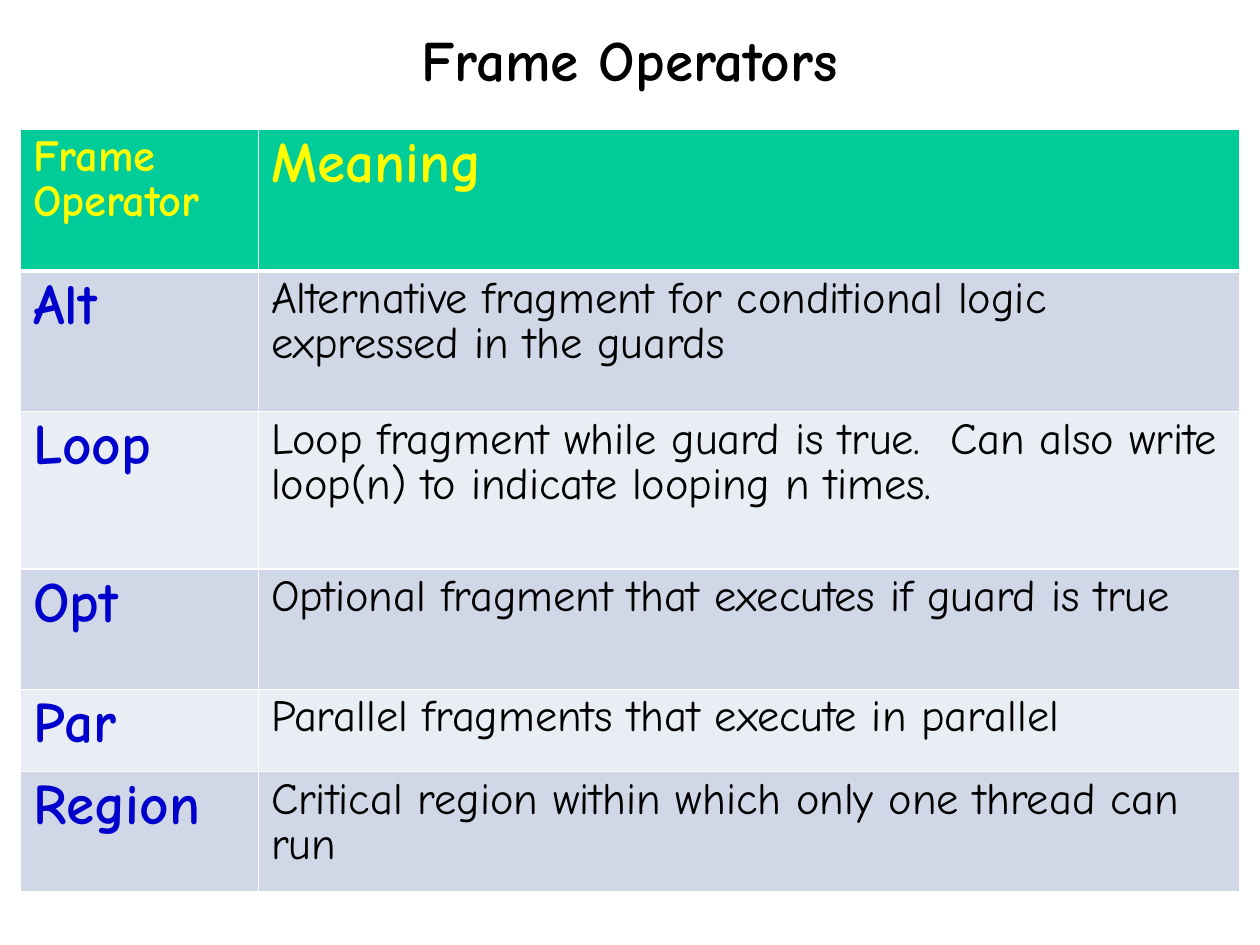
from dataclasses import dataclass

from lxml import etree
from pptx import Presentation
from pptx.dml.color import RGBColor
from pptx.enum.text import MSO_ANCHOR, PP_ALIGN
from pptx.oxml.ns import qn
from pptx.util import Cm, Inches, Pt

MIDDLE, TOP = MSO_ANCHOR.MIDDLE, MSO_ANCHOR.TOP
CENTER, LEFT = PP_ALIGN.CENTER, PP_ALIGN.LEFT
BLANK_LAYOUT = 6


@dataclass(frozen=True)
class Theme:
    font: str = "Comic Neue"
    large: int = 36
    small: int = 28
    ink: str = "000000"
    heading: str = "FFFF00"
    operator: str = "0000CC"
    header_fill: str = "00CC99"
    bands: tuple = ("D0D8E8", "E9EDF4")
    rule: str = "FFFFFF"
    thin: int = 1
    thick: int = 3
    line_spacing: float = 0.88
    space_after: float = 13.8
    inset_x: float = 0.11
    inset_y: float = 0.06


THEME = Theme()
WIDTH, HEIGHT = Cm(28), Cm(21)
TITLE_BOX = (0.81, 0.39, 9.4, 0.32)
TABLE_BOX = (0.18, 1.13, 10.67, 6.67)
COLUMN_WEIGHTS = (2.08, 8.58)
ROW_WEIGHTS = (1.24, 1.23, 1.38, 1.05, 0.72, 1.05)
HEADINGS = ("Frame Operator", "Meaning")
OPERATORS = (
    ("Alt", "Alternative fragment for conditional logic expressed in the guards"),
    ("Loop", "Loop fragment while guard is true.  Can also write loop(n) to indicate looping n times."),
    ("Opt", "Optional fragment that executes if guard is true"),
    ("Par", "Parallel fragments that execute in parallel"),
    ("Region", "Critical region within which only one thread can run"),
)


def write(frame, text, size, color, bold=True, align=LEFT, space_after=0):
    frame.word_wrap = True
    paragraph = frame.paragraphs[0]
    paragraph.alignment = align
    paragraph.line_spacing = THEME.line_spacing
    paragraph.space_after = Pt(space_after)
    run = paragraph.add_run()
    run.text = text
    run.font.name = THEME.font
    run.font.size = Pt(size)
    run.font.bold = bold
    run.font.color.rgb = RGBColor.from_string(color)


def set_insets(holder):
    holder.margin_left = holder.margin_right = Inches(THEME.inset_x)
    holder.margin_top = holder.margin_bottom = Inches(THEME.inset_y)


def set_borders(cell, top, bottom):
    properties = cell._tc.get_or_add_tcPr()
    sides = (("L", THEME.thin), ("R", THEME.thin), ("T", top), ("B", bottom))
    for position, (side, weight) in enumerate(sides):
        border = etree.Element(qn(f"a:ln{side}"), w=str(Pt(weight)))
        fill = etree.SubElement(border, qn("a:solidFill"))
        etree.SubElement(fill, qn("a:srgbClr"), val=THEME.rule)
        properties.insert(position, border)


def fill_cell(cell, row, text, size, color, bold=True):
    set_insets(cell)
    cell.vertical_anchor = TOP
    cell.fill.solid()
    fill = THEME.bands[(row - 1) % 2] if row else THEME.header_fill
    cell.fill.fore_color.rgb = RGBColor.from_string(fill)
    set_borders(
        cell,
        top=THEME.thick if row == 1 else THEME.thin,
        bottom=THEME.thick if row == 0 else THEME.thin,
    )
    write(cell.text_frame, text, size, color, bold, space_after=THEME.space_after)


def share_out(tracks, weights, total):
    for track, weight in zip(tracks, weights):
        yield track, Inches(total * weight / sum(weights))


def add_title(slide, box, text):
    frame = slide.shapes.add_textbox(*map(Inches, box)).text_frame
    set_insets(frame)
    frame.vertical_anchor = MIDDLE
    write(frame, text, THEME.large, THEME.ink, align=CENTER)


def add_operator_table(slide, box):
    table = slide.shapes.add_table(
        len(ROW_WEIGHTS), len(COLUMN_WEIGHTS), *map(Inches, box)
    ).table
    for column, width in share_out(table.columns, COLUMN_WEIGHTS, box[2]):
        column.width = width
    for row, height in share_out(table.rows, ROW_WEIGHTS, box[3]):
        row.height = height
    for column, size in enumerate((THEME.small, THEME.large)):
        fill_cell(table.cell(0, column), 0, HEADINGS[column], size, THEME.heading)
    for row, (operator, meaning) in enumerate(OPERATORS, start=1):
        fill_cell(table.cell(row, 0), row, operator, THEME.large, THEME.operator)
        fill_cell(table.cell(row, 1), row, meaning, THEME.small, THEME.ink, bold=False)


def main():
    deck = Presentation()
    deck.slide_width, deck.slide_height = WIDTH, HEIGHT
    slide = deck.slides.add_slide(deck.slide_layouts[BLANK_LAYOUT])
    add_title(slide, TITLE_BOX, "Frame Operators")
    add_operator_table(slide, TABLE_BOX)
    deck.save("out.pptx")


if __name__ == "__main__":
    main()
